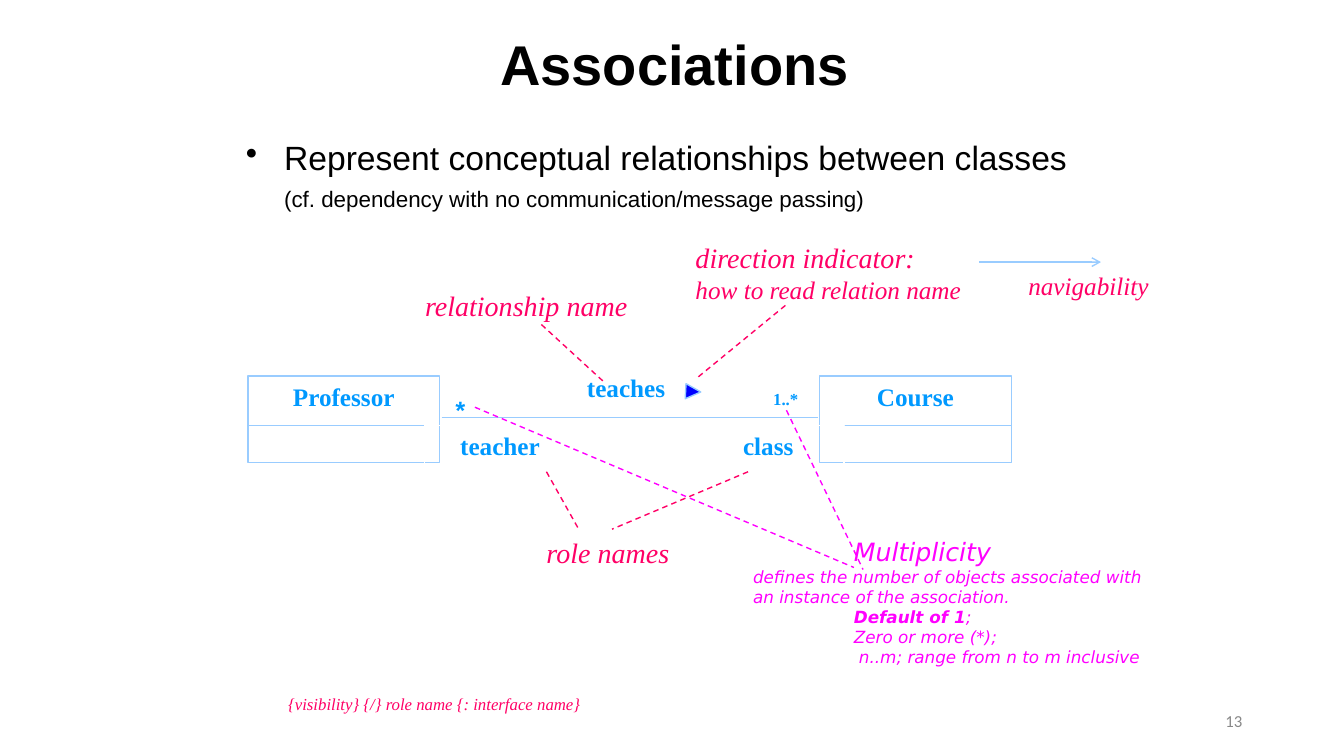
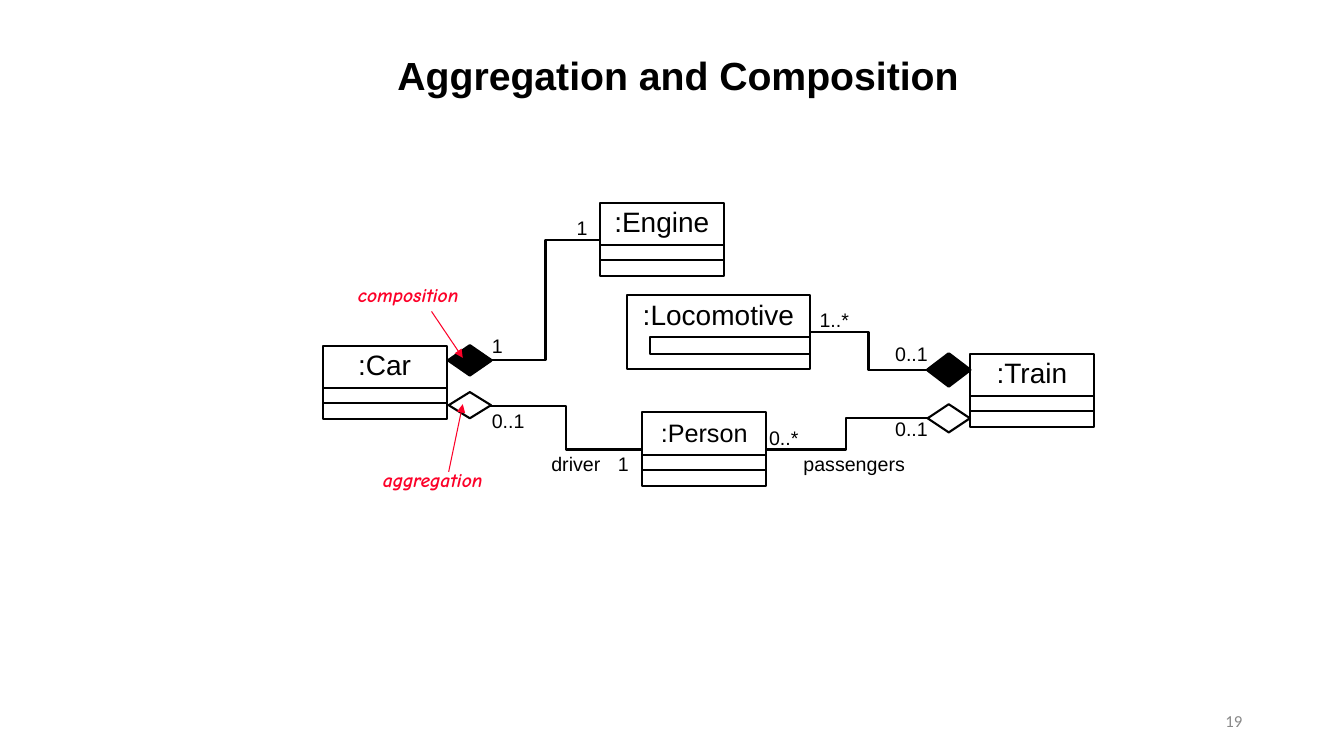
from collections import namedtuple
from pptx import Presentation
from pptx.dml.color import RGBColor
from pptx.enum.dml import MSO_LINE as Dash
from pptx.enum.shapes import MSO_CONNECTOR as Link, MSO_SHAPE as Kind
from pptx.enum.text import MSO_ANCHOR as Anchor, PP_ALIGN as Align
from pptx.oxml.ns import qn
from pptx.util import Inches, Pt
from lxml import etree

WIDE, HIGH = 133.3, 75  # grid of tenth-inch cells
BLACK, WHITE, GRAY = "000000", "FFFFFF", "888888"
SKY, AZURE, BLUE = "99CCFF", "0099FF", "0000FF"
ROSE, PINK, RED = "FF0066", "FF00FF", "FC0128"

Style = namedtuple("Style", "face size color bold italic", defaults=(False, False))
SERIF, SANS = "Times New Roman", "Arial"
HEAD = Style(SANS, 40, BLACK, True)
FOOT = Style("Calibri", 12, GRAY)
NAME = Style(SERIF, 18, AZURE, True)
NOTE = Style(SERIF, 20, ROSE, italic=True)
MULTI = Style("DejaVu Sans", 12, PINK, italic=True)
COUNT = Style(SANS, 14, BLACK)
HINT = Style("Comic Neue", 14, RED, True, True)


def cells(*counts):
    return [Inches(count / 10) for count in counts]


def tint(color):
    return RGBColor.from_string(color)


def indent(para, left, hang=0, bullet=None):
    props = para._p.get_or_add_pPr()
    props.set("marL", str(cells(left)[0]))
    props.set("indent", str(cells(-hang)[0]))
    if bullet:
        etree.SubElement(props, qn("a:buChar")).set("char", bullet)
    else:
        etree.SubElement(props, qn("a:buNone"))


def write(frame, lines, align=Align.LEFT, anchor=Anchor.TOP, wrap=True):
    """Fill a frame with lines, each a list of (text, style) runs."""
    frame.word_wrap = wrap
    frame.vertical_anchor = anchor
    for i, line in enumerate(lines):
        para = frame.add_paragraph() if i else frame.paragraphs[0]
        para.alignment = align
        for text, style in line:
            run = para.add_run()
            run.text = text
            font = run.font
            font.name, font.size = style.face, Pt(style.size)
            font.bold, font.italic = style.bold, style.italic
            font.color.rgb = tint(style.color)
    return frame


class Pane:
    """A region of a slide; all places are cells from its top left corner."""

    def __init__(self, slide, left=0, top=0):
        self.shapes, self.left, self.top = slide.shapes, left, top

    def place(self, x, y):
        return cells(self.left + x, self.top + y)

    def text(self, box, lines, **look):
        x, y, w, h = box
        shape = self.shapes.add_textbox(*self.place(x, y), *cells(w, h))
        return write(shape.text_frame, lines, **look)

    def form(self, box, line, fill=None, weight=1, kind=Kind.RECTANGLE):
        x, y, w, h = box
        shape = self.shapes.add_shape(kind, *self.place(x, y), *cells(w, h))
        shape.shadow.inherit = False
        shape.line.color.rgb, shape.line.width = tint(line), Pt(weight)
        if fill:
            shape.fill.solid()
            shape.fill.fore_color.rgb = tint(fill)
        else:
            shape.fill.background()
        return shape

    def line(self, ends, color, weight=1, dash=False, tip=None, kind=Link.STRAIGHT):
        start, end = ends
        link = self.shapes.add_connector(kind, *self.place(*start), *self.place(*end))
        link.line.color.rgb, link.line.width = tint(color), Pt(weight)
        if dash:
            link.line.dash_style = Dash.DASH
        if tip:
            etree.SubElement(link.line._get_or_add_ln(), qn("a:tailEnd")).set("type", tip)
        etree.SubElement(link._element.spPr, qn("a:effectLst"))


def base(deck, title, box, size, number, anchor):
    """Start a slide with its title and page number."""
    slide = deck.slides.add_slide(deck.slide_layouts[6])
    page = Pane(slide)
    page.text(box, [[(title, HEAD._replace(size=size))]], align=Align.CENTER, anchor=anchor)
    page.text((WIDE - 39.1, HIGH - 5.5, 30, 4), [[(number, FOOT)]],
              align=Align.RIGHT, anchor=Anchor.MIDDLE)
    return slide


def intro(pane):
    lead, aside = Style(SANS, 24, BLACK), Style(SANS, 16, BLACK)
    frame = pane.text((0, 0, 92.4, 3.7), [
        [("Represent conceptual relationships between classes", lead)],
        [("(cf. dependency with no communication/message passing)", aside)]])
    first, second = frame.paragraphs
    first.line_spacing = second.line_spacing = 0.9
    second.space_before = Pt(8)
    indent(first, 3.8, 3.8, "•")
    indent(second, 3.8)


def classes(pane):
    """Two classes, the association between them and its labels."""
    wide, high, rule, far = 19, 8.6, 4.9, 56.7
    for x, name in (0, "Professor"), (far, "Course"):
        shape = pane.form((x, 0, wide, high), SKY)
        write(shape.text_frame, [[(name, NAME)]], align=Align.CENTER)
        pane.line(((x, rule), (x + wide, rule)), SKY)
    pane.line(((wide + 0.2, 4.1), (far - 0.2, 4.1)), SKY)
    for x, y, name in (30, -0.9, "teaches"), (17.5, rule, "teacher"), (44.1, rule, "class"):
        shape = pane.form((x, y, 15, 4), WHITE)
        write(shape.text_frame, [[(name, NAME)]], align=Align.CENTER)
    arrow = pane.form((43.4, 0.8, 1.5, 1.5), SKY, BLUE, kind=Kind.ISOSCELES_TRIANGLE)
    arrow.rotation = 93
    shape = pane.form((51.1, 0.8, 4.5, 3), WHITE, weight=0.75)
    write(shape.text_frame, [[("1..*", NAME._replace(size=12))]], wrap=False)
    pane.text((19.3, 1.4, 3.5, 4), [[("*", NAME._replace(face="Courier New"))]],
              align=Align.RIGHT)


def notes(pane):
    """Callouts that explain the parts of the association."""
    small = NOTE._replace(size=18)
    for x, y, text in (0, 4.7, "relationship name"), (8.1, 29.2, "role names"):
        pane.text((x, y, 26.6, 4.3), [[(text, NOTE)]], align=Align.CENTER)
    pane.text((29.1, 0, 31.7, 7.4), [[("direction indicator:", NOTE)],
                                     [("how to read relation name", small)]])
    pane.text((62.1, 2.9, 14.8, 4), [[("navigability", small)]])
    pane.line(((58.2, 2.6), (70.3, 2.6)), SKY, tip="arrow")
    for ends in (((39, 6.9), (30.1, 14.2)), ((14.8, 8.8), (20.9, 14.4)),
                 ((15.3, 23.4), (18.5, 29.1)), ((35.3, 23.4), (21.8, 29.1))):
        pane.line(ends, ROSE, dash=True)


def ranges(pane):
    """The multiplicity note and its two leaders."""
    frame = pane.text((0, 0, 42.1, 14.1), [
        [("Multiplicity", MULTI._replace(size=18))],
        [("defines the number of objects associated with an instance of the association.", MULTI)],
        [("Default of 1", MULTI._replace(bold=True)), (";", MULTI)],
        [("Zero or more (*);", MULTI)],
        [("n..m; range from n to m inclusive", MULTI)]])
    for para, left in zip(frame.paragraphs, (10, 0, 10, 10, 10.5)):
        indent(para, left)
    for ends in ((-26.6, -12.3), (11, 3.6)), ((4.3, -12), (11.9, 3.8)):
        pane.line(ends, PINK, dash=True)


def thing(pane, box, name, band, size=20, inset=0.2):
    """An object box with a band placed from its top left corner."""
    x, y = box[:2]
    frame = pane.form(box, BLACK, weight=1.5).text_frame
    frame.margin_top = cells(inset)[0]
    write(frame, [[(name, Style(SANS, size, BLACK))]], align=Align.CENTER)
    dx, dy, w, h = band
    pane.form((x + dx, y + dy, w, h), BLACK, weight=1.5)


def parts(pane):
    """Objects joined by composition and aggregation."""
    for ends in (((16.6, 20.2), (31.7, 24.5)), ((16.7, 15.6), (27.5, 3.7)),
                 ((48.3, 12.8), (60, 16.6)), ((43.9, 24.5), (60, 21.4))):
        pane.line(ends, BLACK, 1.5, kind=Link.ELBOW)
    for x, y, h, fill, weight in ((12.5, 14.2, 2.9, BLACK, 2.25), (12.5, 18.8, 2.6, WHITE, 1.5),
                                  (60, 15, 3.2, BLACK, 2.25), (60, 20, 2.8, WHITE, 1.5)):
        pane.form((x, y, 4.2, h), BLACK, fill, weight, Kind.DIAMOND)
    wide, high = 12.3, 7.3
    band = (0, 4.2, wide, 1.5)
    for x, y, name in (27.5, 0, ":Engine"), (0, 14.2, ":Car"), (64.2, 15, ":Train"):
        thing(pane, (x, y, wide, high), name, band)
    thing(pane, (31.7, 20.8, wide, high), ":Person", band, 18, 0.5)
    thing(pane, (30.2, 9.2, 18.1, high), ":Locomotive", (2.3, 4.1, 15.8, 1.7))
    for x, y, text in ((15.8, 12.5, "1"), (15.8, 20, "0..1"), (24.2, 0.8, "1"),
                       (21.7, 24.2, "driver"), (28.3, 24.2, "1"), (43.3, 21.7, "0..*"),
                       (46.7, 24.2, "passengers"), (48.3, 10, "1..*"),
                       (55.8, 13.3, "0..1"), (55.8, 20.8, "0..1")):
        pane.text((x, y, 13, 3.4), [[(text, COUNT)]])
    for x, y, text, ends in ((2.5, 7.5, "composition", ((10.8, 10.8), (13.9, 15.4))),
                             (5, 25.8, "aggregation", ((12.5, 26.7), (13.9, 20)))):
        pane.text((x, y, 14.8, 3.4), [[(text, HINT)]])
        pane.line(ends, RED, 0.75, tip="triangle")


def main():
    deck = Presentation()
    deck.slide_width, deck.slide_height = cells(WIDE, HIGH)

    slide = base(deck, "Associations", (24.6, 3.4, 84.6, 5.8), 40, "13", Anchor.MIDDLE)
    intro(Pane(slide, 23.4, 13.5))
    classes(Pane(slide, 24.6, 37.3))
    notes(Pane(slide, 38.9, 23.4))
    ranges(Pane(slide, 73.7, 52.7))
    Pane(slide, 27.6, 68.3).text((0, 0, 33.2, 3), [
        [("{visibility} {/} role name {: interface name}", NOTE._replace(size=12))]])

    slide = base(deck, "Aggregation and Composition", (5.1, 4.6, 124.3, 12.5), 28, "19", Anchor.TOP)
    parts(Pane(slide, 32, 20.1))
    deck.save("out.pptx")


if __name__ == "__main__":
    main()
